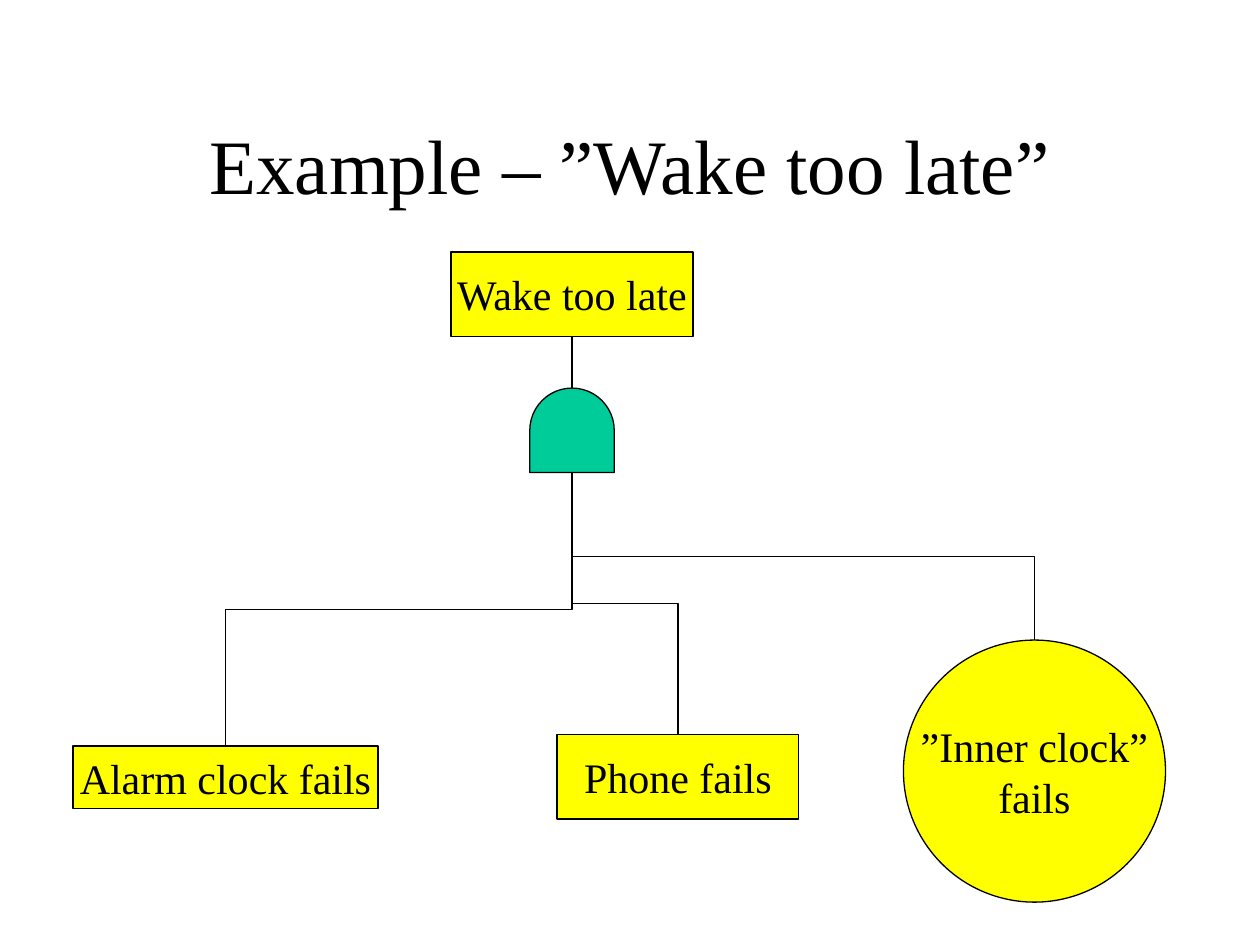
from lxml import etree
from pptx import Presentation
from pptx.dml.color import RGBColor
from pptx.enum import shapes, text
from pptx.oxml import ns
from pptx.util import Inches, Pt

FONT = "Times New Roman"
BLACK, YELLOW, GREEN = "000000", "FFFF00", "00CC99"
RECTANGLE = shapes.MSO_SHAPE.RECTANGLE
OVAL = shapes.MSO_SHAPE.OVAL
DELAY = shapes.MSO_SHAPE.FLOWCHART_DELAY

TITLE = ("Example – ”Wake too late”", (0.75, 0.67, 8.5, 1.25))
TOP_EVENT = (RECTANGLE, ["Wake too late"], (3.58, 2, 1.92, 0.67))
CAUSES = [
    (RECTANGLE, ["Alarm clock fails"], (0.58, 5.92, 2.42, 0.5)),
    (RECTANGLE, ["Phone fails"], (4.42, 5.83, 1.92, 0.67)),
    (OVAL, ["”Inner clock”", "fails"], (7.17, 5.08, 2.08, 2.08)),
]
GATE_TOP, GATE_SIZE = 3.08, 0.67


def color(value):
    return RGBColor.from_string(value)


def write(shape, lines, size, wrap):
    frame = shape.text_frame
    settings = {"word_wrap": wrap, "vertical_anchor": text.MSO_ANCHOR.MIDDLE}
    for name, value in settings.items():
        setattr(frame, name, value)
    frame.text = "\n".join(lines)
    for paragraph in frame.paragraphs:
        paragraph.alignment = text.PP_ALIGN.CENTER
        for name, value in {"name": FONT, "size": Pt(size)}.items():
            setattr(paragraph.font, name, value)
        paragraph.font.color.rgb = color(BLACK)


def outline(item):
    item.line.color.rgb = color(BLACK)
    item.line.width = Pt(0.75)


def add_node(slide, kind, box, fill):
    shape = slide.shapes.add_shape(kind, *map(Inches, box))
    shape.shadow.inherit = False
    shape.fill.solid()
    shape.fill.fore_color.rgb = color(fill)
    outline(shape)
    return shape


def add_event(slide, kind, lines, box):
    write(add_node(slide, kind, box, YELLOW), lines, 24, False)


def add_link(slide, kind, begin, end):
    connector = slide.shapes.add_connector(kind, *map(Inches, begin + end))
    outline(connector)
    etree.SubElement(connector._element.spPr, ns.qn("a:effectLst"))
    return connector


def add_branch(slide, begin, end):
    run, drop = end[0] - begin[0], end[1] - begin[1]
    middle_x, middle_y = begin[0] + run / 2, begin[1] + drop / 2
    connector = add_link(
        slide,
        shapes.MSO_CONNECTOR.ELBOW,
        (middle_x - drop / 2, middle_y + run / 2),
        (middle_x + drop / 2, middle_y - run / 2),
    )
    connector._element.spPr.find(ns.qn("a:xfrm")).set("rot", str(90 * 60000))


def main():
    presentation = Presentation()
    presentation.slide_width, presentation.slide_height = Inches(10), Inches(7.5)
    slide = presentation.slides.add_slide(presentation.slide_layouts[6])

    title, title_box = TITLE
    write(slide.shapes.add_textbox(*map(Inches, title_box)), [title], 44, True)

    for event in [TOP_EVENT] + CAUSES:
        add_event(slide, *event)

    left, top, width, height = TOP_EVENT[2]
    center = left + width / 2
    gate_box = (center - GATE_SIZE / 2, GATE_TOP, GATE_SIZE, GATE_SIZE)
    add_node(slide, DELAY, gate_box, GREEN).rotation = 270

    add_link(slide, shapes.MSO_CONNECTOR.STRAIGHT,
             (center, top + height), (center, GATE_TOP))
    for kind, lines, (left, top, width, height) in CAUSES:
        add_branch(slide, (center, GATE_TOP + GATE_SIZE), (left + width / 2, top))

    presentation.save("out.pptx")


if __name__ == "__main__":
    main()
